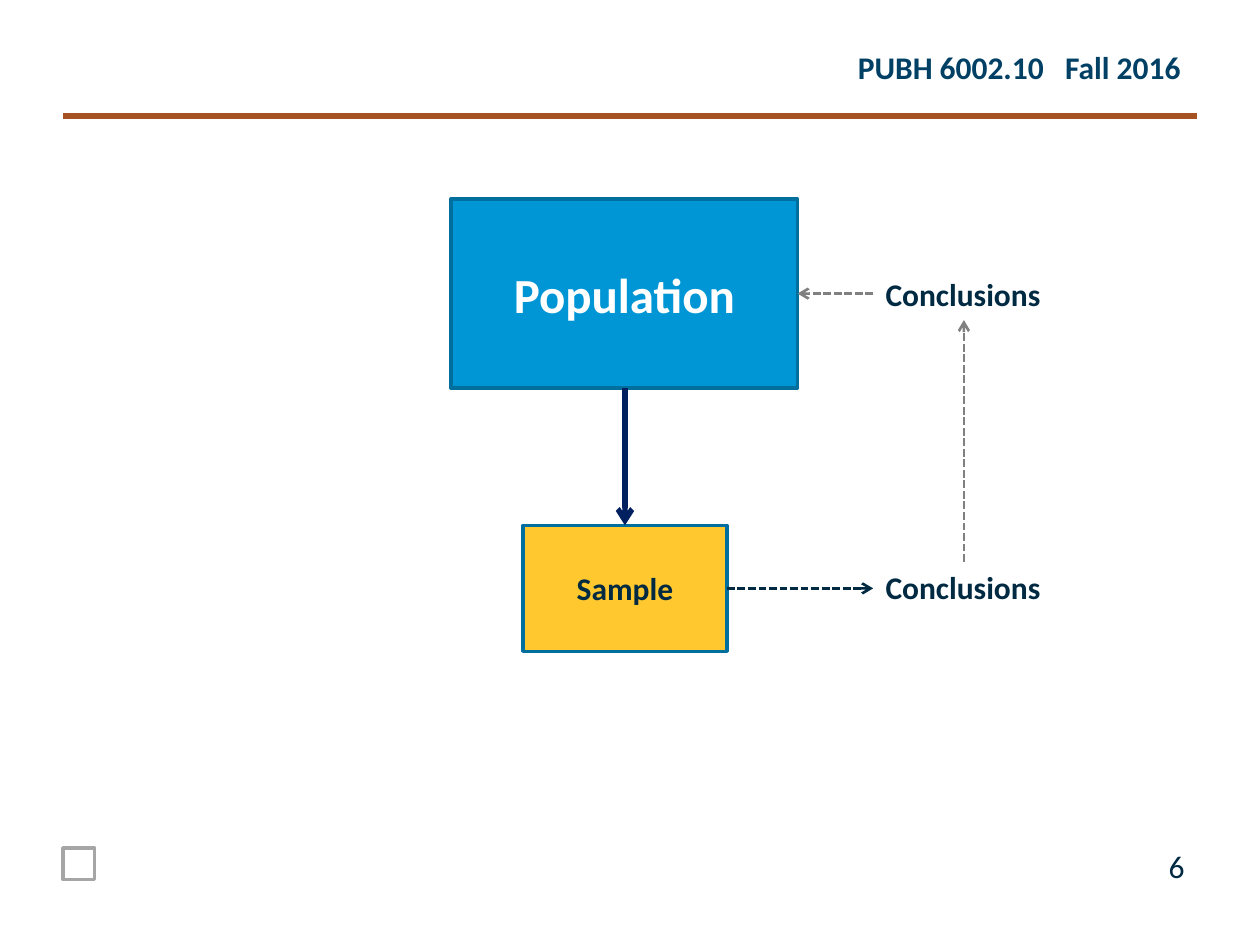
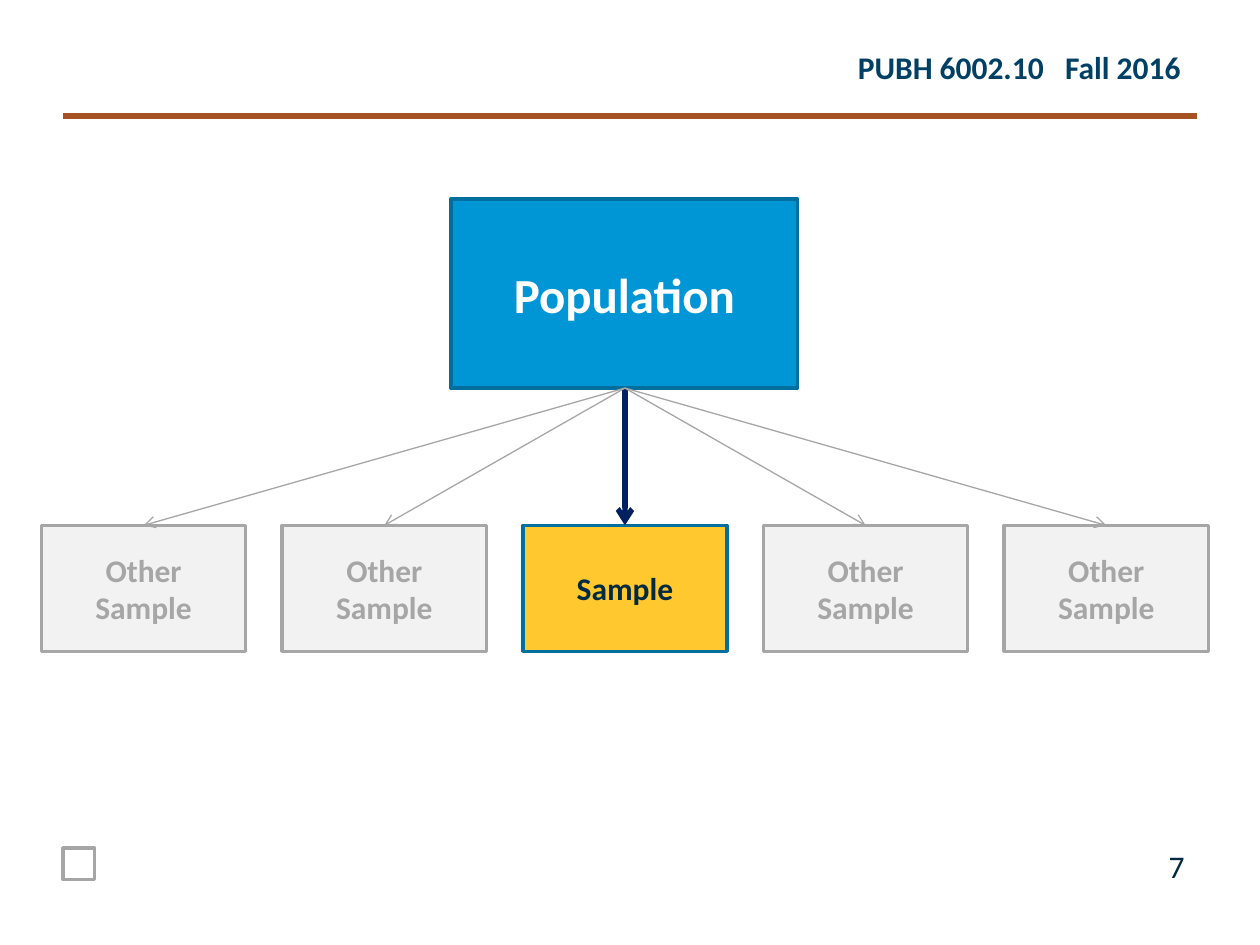
from dataclasses import dataclass

from lxml import etree
from pptx import Presentation
from pptx.dml.color import RGBColor
from pptx.enum.dml import MSO_LINE
from pptx.enum.shapes import MSO_CONNECTOR, MSO_SHAPE
from pptx.enum.text import MSO_ANCHOR, MSO_AUTO_SIZE, PP_ALIGN
from pptx.oxml.ns import qn
from pptx.util import Pt

RECT = MSO_SHAPE.RECTANGLE
LINE = MSO_CONNECTOR.STRAIGHT
DASH = MSO_LINE.SQUARE_DOT
LEFT, MID, RIGHT = PP_ALIGN.LEFT, PP_ALIGN.CENTER, PP_ALIGN.RIGHT
FIT = MSO_AUTO_SIZE.SHAPE_TO_FIT_TEXT
PX = 9144


@dataclass
class Theme:
    font: str = "Calibri"
    big: int = 28
    body: int = 18
    ink: str = "002942"
    head: str = "004065"
    rule: str = "A55121"
    blue: str = "0096D6"
    edge: str = "006F9E"
    gold: str = "FFC82E"
    navy: str = "002060"
    gray: str = "808080"
    mute: str = "A6A6A6"
    pale: str = "F2F2F2"
    white: str = "FFFFFF"


look = Theme()


def place(slide, area, words, color, fill=None, edge=None,
          size=look.body, bold=True, align=LEFT):
    area = [n * PX for n in area]
    if edge:
        shape = slide.shapes.add_shape(RECT, *area)
        shape.shadow.inherit = False
        shape.line.color.rgb = RGBColor.from_string(edge)
        shape.line.width = Pt(2)
        if fill:
            shape.fill.solid()
            shape.fill.fore_color.rgb = RGBColor.from_string(fill)
        else:
            shape.fill.background()
        shape.text_frame.vertical_anchor = MSO_ANCHOR.MIDDLE
    else:
        shape = slide.shapes.add_textbox(*area)
        shape.text_frame.word_wrap = False
        shape.text_frame.auto_size = FIT
    if not words:
        return
    shape.text_frame.text = words
    for para in shape.text_frame.paragraphs:
        para.alignment = align
        font = para.font
        font.name, font.size, font.bold = look.font, Pt(size), bold
        font.color.rgb = RGBColor.from_string(color)


def link(slide, ends, color, width, dash=None, arrow=True):
    wire = slide.shapes.add_connector(LINE, *[n * PX for n in ends])
    wire.line.color.rgb = RGBColor.from_string(color)
    wire.line.width = Pt(width)
    if dash:
        wire.line.dash_style = dash
    if arrow:
        tip = etree.SubElement(wire.line._get_or_add_ln(), qn("a:tailEnd"))
        tip.set("type", "arrow")
    etree.SubElement(wire._element.spPr, qn("a:effectLst"))


deck = Presentation()
deck.slide_width, deck.slide_height = 1000 * PX, 750 * PX
blank = deck.slide_layouts[6]

hub, base = 496, 308
row, wide, tall, step = 417, 162, 100, 191
home = hub - wide // 2

slides = []
for number in (6, 7):
    slide = deck.slides.add_slide(blank)
    link(slide, (50, 92, 950, 92), look.rule, 3, arrow=False)
    place(slide, (671, 33, 279, 40), "PUBH 6002.10   Fall 2016", look.head)
    place(slide, (900, 667, 50, 40), str(number), look.ink,
          bold=False, align=RIGHT)
    place(slide, (50, 673, 25, 25), "", look.ink, edge=look.mute)
    place(slide, (358, 158, 275, 150), "Population", look.white,
          look.blue, look.edge, look.big, align=MID)
    place(slide, (home, row, wide, tall), "Sample", look.ink,
          look.gold, look.edge, align=MID)
    link(slide, (hub, base, hub, row), look.navy, 3)
    slides.append(slide)

infer, others = slides

for top in (446, 213):
    place(infer, (693, top, 144, 40), "Conclusions", look.ink)
for ends, color in (
    ((577, 467, 693, 467), look.ink),
    ((765, 446, 765, 254), look.gray),
    ((693, 233, 633, 233), look.gray),
):
    link(infer, ends, color, 1.5, DASH)

shifts = [n * step for n in (-2, -1, 1, 2)]
for shift in shifts:
    place(others, (home + shift, row, wide, tall), "Other\nSample",
          look.mute, look.pale, look.mute, align=MID)
for shift in shifts:
    link(others, (hub, base, hub + shift, row), look.mute, 0.75)

deck.save("out.pptx")
